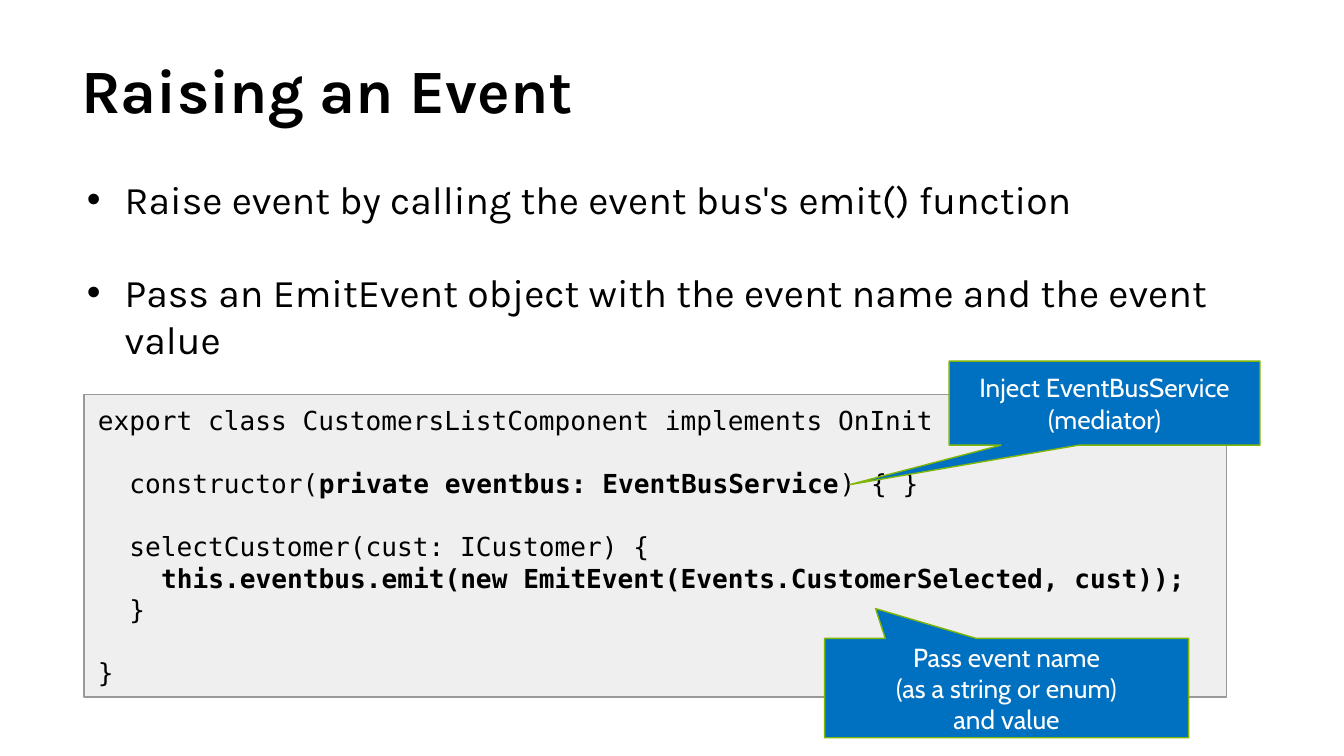
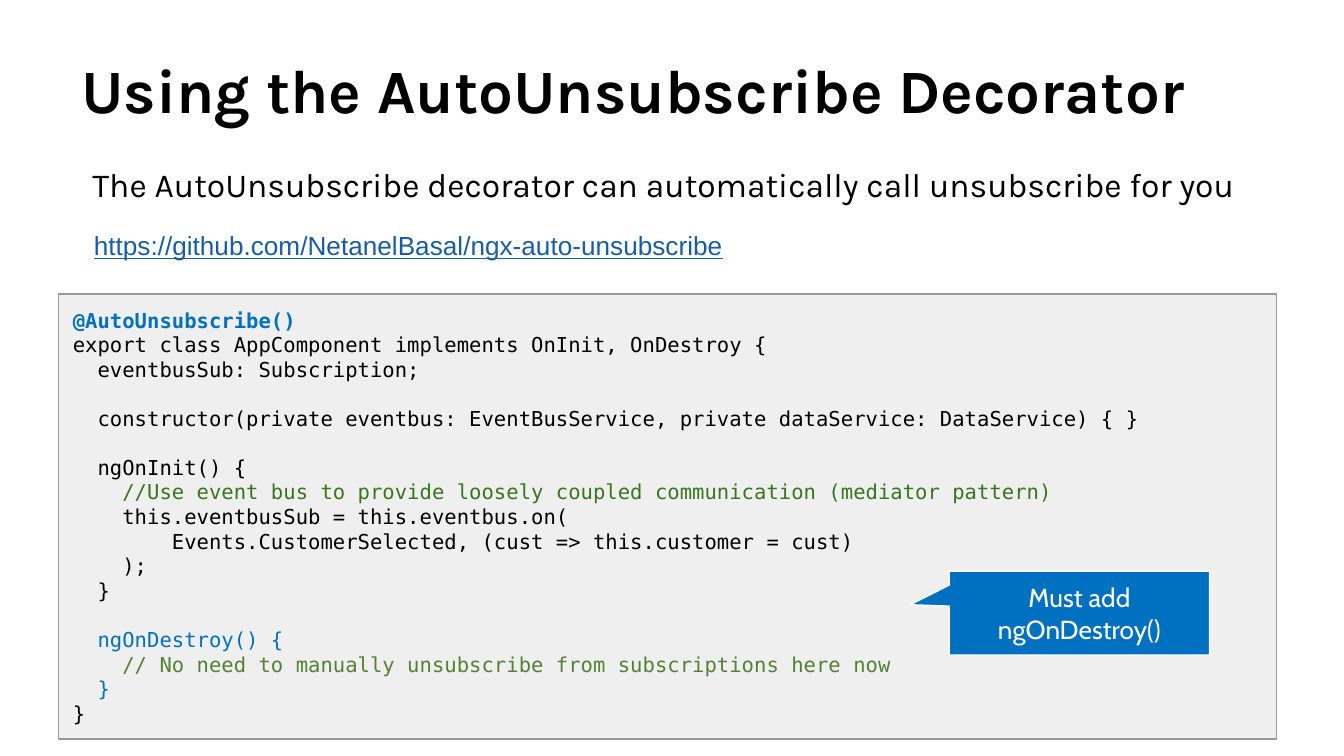
"""Build two slides on an event bus and the AutoUnsubscribe decorator."""
import pptx
import pptx.dml.color
import pptx.enum.shapes
import pptx.enum.text
import pptx.util
from lxml import etree

PX = 9525
BLACK, WHITE, BLUE, GREY = "000000", "FFFFFF", "0070C0", "EFEFEF"
EDGE, LIME, GREEN, MOSS, LINK = "999999", "80B606", "38761D", "548135", "185DA2"
MONO, SANS, HEAD = "DejaVu Sans Mono", "Cabin", "Karla"
WIDE, TIGHT = (10, 10), (7, 4)
MID = pptx.enum.text.MSO_ANCHOR.MIDDLE
TOP = pptx.enum.text.MSO_ANCHOR.TOP
LEFT = pptx.enum.text.PP_ALIGN.LEFT
CENTER = pptx.enum.text.PP_ALIGN.CENTER
KIND = pptx.enum.shapes.MSO_SHAPE


def paint(color, hue):
    """Set a colour from a hex string."""
    color.rgb = pptx.dml.color.RGBColor.from_string(hue)


def write(shape, text, face, size, hue, pad, anchor, align=LEFT):
    """Fill a shape with text: bars switch bold, an empty line becomes a gap."""
    frame = shape.text_frame
    frame.word_wrap = True
    frame.auto_size = pptx.enum.text.MSO_AUTO_SIZE.NONE
    frame.vertical_anchor = anchor
    frame.margin_left = frame.margin_right = pad[0] * PX
    frame.margin_top = frame.margin_bottom = pad[1] * PX
    lines = text.split("\n")
    frame.text = "\n".join(line for line in lines if line)
    starts = [n for n, line in enumerate(lines) if line]
    for para, start in zip(frame.paragraphs, starts):
        gap = start > 0 and not lines[start - 1]
        para.space_before = pptx.util.Pt(round(1.2 * size) if gap else 0)
        para.alignment = align
        parts = para.text.split("|")
        para.text = ""
        for n, part in enumerate(parts):
            if part:
                run = para.add_run()
                run.text = part
                run.font.name = face
                run.font.size = pptx.util.Pt(size)
                run.font.bold = n % 2 == 1
                paint(run.font.color, hue)


EMIT = """export class CustomersListComponent implements OnInit {

  constructor(|private eventbus: EventBusService|) { }

  selectCustomer(cust: ICustomer) {
    |this.eventbus.emit(new EmitEvent(Events.CustomerSelected, cust));|
  }

}"""

AUTO = """|@AutoUnsubscribe()|
export class AppComponent implements OnInit, OnDestroy {
  eventbusSub: Subscription;

  constructor(private eventbus: EventBusService, private dataService: DataService) { }

  ngOnInit() {
    //Use event bus to provide loosely coupled communication (mediator pattern)
    this.eventbusSub = this.eventbus.on(
        Events.CustomerSelected, (cust => this.customer = cust)
    );
  }

  ngOnDestroy() {
    // No need to manually unsubscribe from subscriptions here now
  }
}"""

PAGES = [
    {
        "title": "Raising an Event",
        "body": "Raise event by calling the event bus's emit() function\n\n"
                "Pass an EmitEvent object with the event name and the event value",
        "place": (42, 115, 888, 85), "size": 21, "dent": (37, -27), "dots": True,
        "code": (EMIT, 14, (60, 282, 816, 216)), "hues": {},
        "notes": [
            ("Inject EventBusService (mediator)", (678, 258, 222, 60), (-0.82, 0.97), LIME),
            ("Pass event name\n(as a string or enum)\nand value",
             (589, 456, 260, 71), (-0.36, -0.8), LIME),
        ],
    },
    {
        "title": "Using the AutoUnsubscribe Decorator",
        "body": "The AutoUnsubscribe decorator can automatically call unsubscribe for you",
        "place": (45, 107, 888, 85), "size": 18, "dent": (11, 0), "dots": False,
        "code": (AUTO, 11, (42, 210, 870, 318)),
        "hues": {"@Auto": BLUE, "//Use": GREEN, "ngOnDestroy()": BLUE, "// No": MOSS},
        "notes": [("Must add ngOnDestroy()", (678, 408, 186, 60), (-0.65, -0.1), WHITE)],
    },
]

deck = pptx.Presentation()
deck.slide_width, deck.slide_height = 960 * PX, 540 * PX

for page in PAGES:
    slide = deck.slides.add_slide(deck.slide_layouts[1])
    title, body = slide.placeholders
    spots = [(title, (48, 22, 864, 90)), (body, page["place"])]
    for shape, place in spots:
        shape.left, shape.top, shape.width, shape.height = [n * PX for n in place]
    write(title, "|" + page["title"], HEAD, 33, BLACK, WIDE, MID)
    title.text_frame.paragraphs[0].line_spacing = 0.9
    write(body, page["body"], HEAD, page["size"], BLACK, WIDE, TOP)
    for para in body.text_frame.paragraphs:
        props = para._p.get_or_add_pPr()
        for name, dent in zip(("marL", "indent"), page["dent"]):
            props.set(name, str(dent * PX))
        if not page["dots"]:
            etree.SubElement(props, pptx.oxml.ns.qn("a:buNone"))

    code, size, place = page["code"]
    boxes = [(KIND.RECTANGLE, place, GREY, EDGE, (), (code, MONO, size, BLACK, WIDE, MID))]
    for text, place, tip, edge in page["notes"]:
        words = (text, SANS, 14, WHITE, TIGHT, MID, CENTER)
        boxes.append((KIND.RECTANGULAR_CALLOUT, place, BLUE, edge, tip, words))
    for kind, place, fill, edge, tip, words in boxes:
        box = slide.shapes.add_shape(kind, *[n * PX for n in place])
        box.shadow.inherit = False
        box.fill.solid()
        paint(box.fill.fore_color, fill)
        paint(box.line.color, edge)
        box.line.width = pptx.util.Pt(0.75)
        for n, part in enumerate(tip):
            box.adjustments[n] = part
        write(box, *words)
        if kind == KIND.RECTANGLE:
            blue = False
            for para in box.text_frame.paragraphs:
                blue = blue or "ngOnDestroy()" in para.text
                hue = BLUE if blue and para.text == "  }" else BLACK
                for mark, tint in page["hues"].items():
                    hue = tint if mark in para.text else hue
                for run in para.runs:
                    paint(run.font.color, hue)

link = slide.shapes.add_textbox(60 * PX, 160 * PX, 543 * PX, 29 * PX)
write(link, "https://github.com/NetanelBasal/ngx-auto-unsubscribe",
      "Arial", 14, LINK, TIGHT, TOP)
link.text_frame.paragraphs[0].runs[0].font.underline = True

deck.save("out.pptx")
